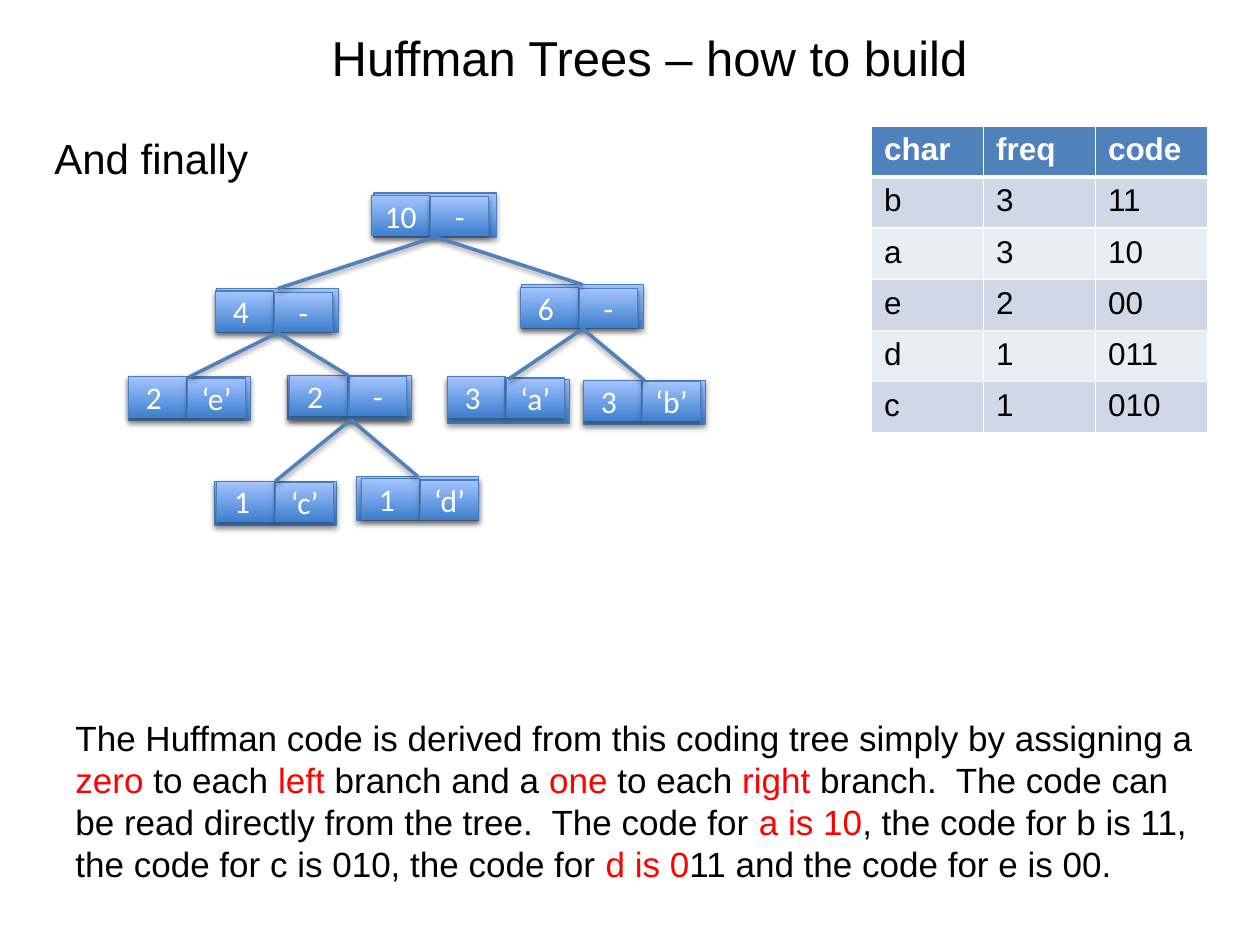
"""Build a slide showing a finished Huffman tree and its code table."""
import pptx
import pptx.dml.color
import pptx.enum.dml
import pptx.enum.shapes
import pptx.enum.text
import pptx.oxml
import pptx.oxml.ns
import pptx.util

Pt = pptx.util.Pt
ALIGN = pptx.enum.text.PP_ALIGN
ANCHOR = pptx.enum.text.MSO_ANCHOR

COLORS = {
    "text": "000000", "accent": "FF0000", "white": "FFFFFF",
    "header": "4F81BD", "band": "D0D8E8", "plain": "E9EDF4",
    "node_low": "3F80CE", "node_high": "A4C4FF",
    "node_line": "4B7EBC", "edge": "4F81BD", "shadow": "000000",
}

TITLE = "Huffman Trees – how to build"
LEAD = "And finally"
EXPLANATION = [
    ("The Huffman code is derived from this coding tree simply by assigning a ", "text"),
    ("zero", "accent"), (" to each ", "text"),
    ("left", "accent"), (" branch and a ", "text"),
    ("one", "accent"), (" to each ", "text"),
    ("right", "accent"),
    (" branch.  The code can be read directly from the tree.  The code for ", "text"),
    ("a is 10", "accent"),
    (", the code for b is 11, the code for c is 010, the code for ", "text"),
    ("d is 0", "accent"), ("11 and the code for e is 00.", "text"),
]
CODES = [
    ("char", "freq", "code"),
    ("b", "3", "11"), ("a", "3", "10"), ("e", "2", "00"),
    ("d", "1", "011"), ("c", "1", "010"),
]
NODES = {
    "c": {"frames": [(122.4, 275)], "cells": (123.8, 275), "labels": ("1 ", "‘c’")},
    "d": {"frames": [(203.8, 272.2)], "cells": (206.6, 273.6), "labels": ("1 ", "‘d’")},
    "e": {"frames": [(73.4, 215.3)], "cells": (73.4, 215.3), "labels": ("2 ", "‘e’")},
    "b": {"frames": [(333.4, 217.4)], "cells": (333.4, 217.4), "labels": ("3 ", "‘b’")},
    "cd": {"frames": [(164.2, 214.6), (165.6, 214.6)], "cells": (165.6, 214.6),
           "labels": ("2 ", "-")},
    "ecd": {"frames": [(123.8, 164.9)], "cells": (123.1, 166.3), "labels": ("4 ", "-")},
    "a": {"frames": [(255.6, 216.7)], "cells": (255.6, 215.3), "labels": ("3 ", "‘a’")},
    "ab": {"frames": [(298.1, 162.7)], "cells": (297.4, 164.2), "labels": ("6 ", "-")},
    "root": {"frames": [(213.8, 110.2)], "cells": (212.4, 111.6), "labels": ("10", "-")},
}
BRANCHES = {"cd": ("c", "d"), "ecd": ("e", "cd"), "ab": ("a", "b"), "root": ("ecd", "ab")}

FRAME_WIDTH, FRAME_HEIGHT = 69.8, 25.2
CELL_WIDTH, CELL_HEIGHTS = 33.1, (23, 22.3)
CELL_STEP, CELL_DROP = 33.8, 0.7
TABLE_LEFT, TABLE_TOP, COLUMN_WIDTH, ROW_HEIGHT = 498, 72, 64, 29.2
NO_MARGINS = {f"margin_{side}": 0 for side in ("left", "right", "top", "bottom")}


def rgb(name):
    return pptx.dml.color.RGBColor.from_string(COLORS[name])


def apply(target, values):
    for name, value in values.items():
        setattr(target, name, value)


def write(para, spans, size, font="Arial", bold=False):
    for text, color in spans:
        span = para.add_run()
        span.text = text
        apply(span.font, {"size": Pt(size), "name": font, "bold": bold})
        span.font.color.rgb = rgb(color)


def add_shadow(shape, alpha, distance):
    shape._element.spPr.append(pptx.oxml.parse_xml(
        f'<a:effectLst {pptx.oxml.ns.nsdecls("a")}>'
        f'<a:outerShdw blurRad="{Pt(3.1)}" dist="{Pt(distance)}" dir="5400000" rotWithShape="0">'
        f'<a:srgbClr val="{COLORS["shadow"]}"><a:alpha val="{alpha * 1000}"/></a:srgbClr>'
        '</a:outerShdw></a:effectLst>'))


def add_box(shapes, left, top, width, height, label=None):
    box = shapes.add_shape(pptx.enum.shapes.MSO_SHAPE.RECTANGLE,
                           Pt(left), Pt(top), Pt(width), Pt(height))
    box.fill.gradient()
    box.fill.gradient_angle = 90
    for stop, color in zip(box.fill.gradient_stops, ("node_low", "node_high")):
        stop.color.rgb = rgb(color)
    box.line.color.rgb = rgb("node_line")
    box.line.width = Pt(0.75)
    add_shadow(box, 35, 1.8)
    if label:
        apply(box.text_frame, {"vertical_anchor": ANCHOR.MIDDLE, "word_wrap": True, **NO_MARGINS})
        para = box.text_frame.paragraphs[0]
        para.alignment = ALIGN.CENTER
        write(para, [(label, "white")], 18, "Calibri")


def add_node(page, node):
    shapes = page.shapes.add_group_shape().shapes
    for left, top in node["frames"]:
        add_box(shapes, left, top, FRAME_WIDTH, FRAME_HEIGHT)
    left, top = node["cells"]
    for index, label in enumerate(node["labels"]):
        add_box(shapes, left + index * CELL_STEP, top + index * CELL_DROP,
                CELL_WIDTH, CELL_HEIGHTS[index], label)


def add_edge(page, parent, child):
    start_left, start_top = NODES[parent]["frames"][-1]
    end_left, end_top = NODES[child]["frames"][0]
    middle = FRAME_WIDTH / 2
    edge = page.shapes.add_connector(
        pptx.enum.shapes.MSO_CONNECTOR.STRAIGHT,
        Pt(start_left + middle), Pt(start_top + FRAME_HEIGHT),
        Pt(end_left + middle), Pt(end_top))
    edge.line.color.rgb = rgb("edge")
    edge.line.width = Pt(2)
    add_shadow(edge, 38, 1.6)


def add_borders(cell, is_header):
    widths = {"L": 1, "R": 1, "T": 1, "B": 3 if is_header else 1}
    properties = cell._tc.get_or_add_tcPr()
    for index, (side, width) in enumerate(widths.items()):
        properties.insert(index, pptx.oxml.parse_xml(
            f'<a:ln{side} {pptx.oxml.ns.nsdecls("a")} w="{Pt(width)}"><a:solidFill>'
            f'<a:srgbClr val="{COLORS["white"]}"/></a:solidFill></a:ln{side}>'))


def add_code_table(page):
    rows, columns = len(CODES), len(CODES[0])
    table = page.shapes.add_table(rows, columns, Pt(TABLE_LEFT), Pt(TABLE_TOP),
                                  Pt(columns * COLUMN_WIDTH), Pt(rows * ROW_HEIGHT)).table
    for column in table.columns:
        column.width = Pt(COLUMN_WIDTH)
    for row, values in enumerate(CODES):
        table.rows[row].height = Pt(ROW_HEIGHT)
        is_header = row == 0
        fill = "header" if is_header else ("plain", "band")[row % 2]
        for column, value in enumerate(values):
            cell = table.cell(row, column)
            cell.fill.solid()
            cell.fill.fore_color.rgb = rgb(fill)
            add_borders(cell, is_header)
            write(cell.text_frame.paragraphs[0],
                  [(value, "white" if is_header else "text")], 18, bold=is_header)


def add_text(page, left, top, width, height, spans, size):
    box = page.shapes.add_textbox(Pt(left), Pt(top), Pt(width), Pt(height))
    box.text_frame.word_wrap = True
    para = box.text_frame.paragraphs[0]
    write(para, spans, size)
    return para


def main():
    deck = pptx.Presentation()
    apply(deck, {"slide_width": Pt(720), "slide_height": Pt(540)})
    page = deck.slides.add_slide(deck.slide_layouts[5])

    title = page.shapes.title
    apply(title, {"left": Pt(180), "top": Pt(12.2), "width": Pt(382.3), "height": Pt(41)})
    apply(title.text_frame, {"word_wrap": False, "vertical_anchor": ANCHOR.TOP,
                             "auto_size": pptx.enum.text.MSO_AUTO_SIZE.NONE})
    title.text_frame.paragraphs[0].alignment = ALIGN.CENTER
    write(title.text_frame.paragraphs[0], [(TITLE, "text")], 28)

    add_text(page, 24, 72, 138, 36, [(LEAD, "text")], 24)
    explanation = add_text(page, 36, 406, 666, 104.4, EXPLANATION, 20)
    explanation.line_spacing = Pt(24)
    add_code_table(page)
    for node in NODES.values():
        add_node(page, node)
    for parent, children in BRANCHES.items():
        for child in children:
            add_edge(page, parent, child)
    deck.save("out.pptx")


if __name__ == "__main__":
    main()
